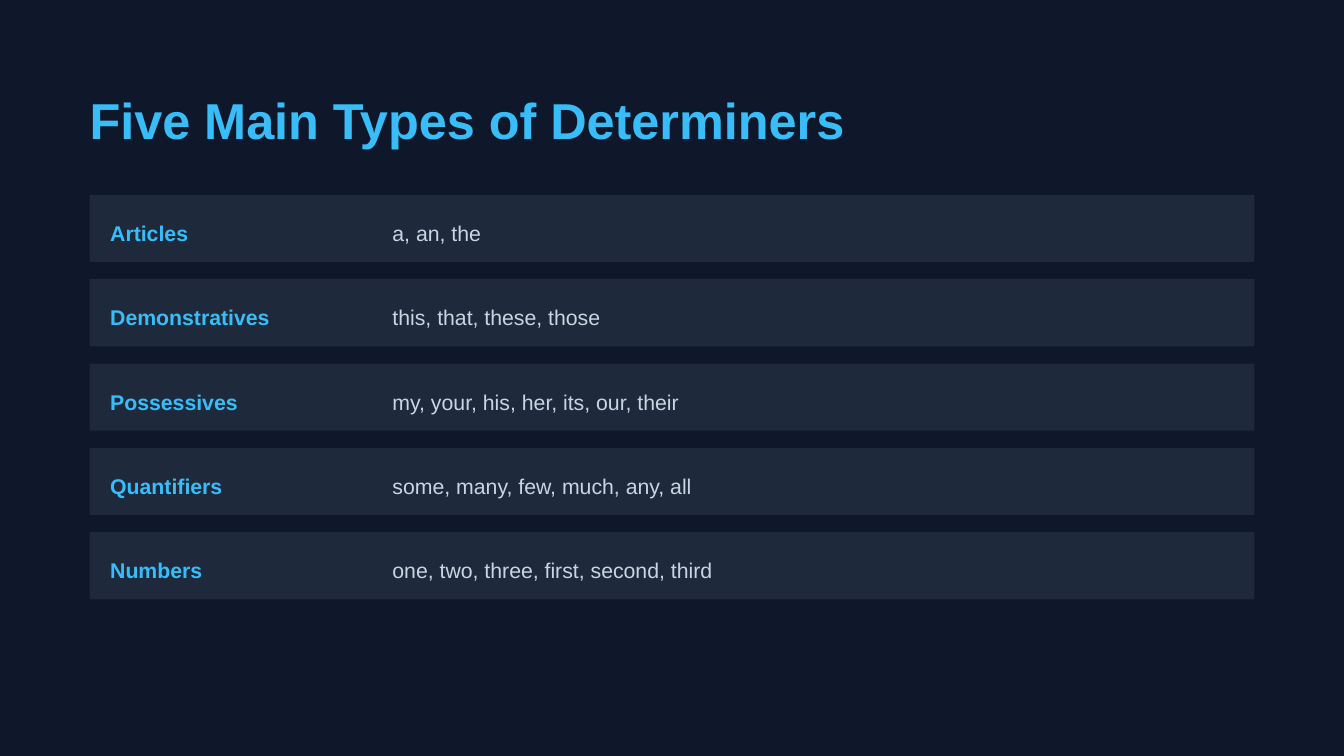
from pptx import Presentation
from pptx.dml.color import RGBColor
from pptx.enum.shapes import MSO_SHAPE
from pptx.enum.text import MSO_ANCHOR
from pptx.util import Inches, Pt

RECTANGLE = MSO_SHAPE.RECTANGLE
TOP = MSO_ANCHOR.TOP

FONT = "Arial"
COLORS = {
    "background": "0F172A",
    "row": "1E293B",
    "accent": "38BDF8",
    "body": "CBD5E1",
}

DETERMINERS = [
    ("Articles", "a, an, the"),
    ("Demonstratives", "this, that, these, those"),
    ("Possessives", "my, your, his, her, its, our, their"),
    ("Quantifiers", "some, many, few, much, any, all"),
    ("Numbers", "one, two, three, first, second, third"),
]

# Layout in inches, on a 16:9 slide
SLIDE_WIDTH = 10
SLIDE_HEIGHT = SLIDE_WIDTH * 9 / 16
MARGIN = SLIDE_WIDTH / 15
ROW_WIDTH = SLIDE_WIDTH - 2 * MARGIN
ROW_HEIGHT = 0.5
FIRST_ROW, LAST_ROW = 1.45, 3.96
ROW_PITCH = (LAST_ROW - FIRST_ROW) / (len(DETERMINERS) - 1)
TEXT_HEIGHT = 0.25
TEXT_OFFSET = (ROW_HEIGHT - TEXT_HEIGHT) / 2


def color(name):
    return RGBColor.from_string(COLORS[name])


def add_text(slide, text, left, top, width, height, *,
             size=11.4, spacing=18.2, fill="body", bold=False):
    box = slide.shapes.add_textbox(
        Inches(left), Inches(top), Inches(width), Inches(height))
    frame = box.text_frame
    frame.word_wrap = True
    frame.vertical_anchor = TOP
    frame.margin_left = frame.margin_right = 0
    frame.margin_top = frame.margin_bottom = 0
    paragraph = frame.paragraphs[0]
    paragraph.line_spacing = Pt(spacing)
    run = paragraph.add_run()
    run.text = text
    run.font.name = FONT
    run.font.size = Pt(size)
    run.font.bold = bold
    run.font.color.rgb = color(fill)


def add_row_background(slide, top):
    shape = slide.shapes.add_shape(
        RECTANGLE, Inches(MARGIN), Inches(top),
        Inches(ROW_WIDTH), Inches(ROW_HEIGHT))
    shape.shadow.inherit = False
    shape.fill.solid()
    shape.fill.fore_color.rgb = color("row")
    shape.line.fill.background()


def add_determiner_text(slide, top, kind, examples):
    add_text(slide, kind, 0.82, top, 2.14, TEXT_HEIGHT,
             fill="accent", bold=True)
    add_text(slide, examples, 2.92, top, 6.41, TEXT_HEIGHT)


def main():
    presentation = Presentation()
    presentation.slide_width = Inches(SLIDE_WIDTH)
    presentation.slide_height = Inches(SLIDE_HEIGHT)
    slide = presentation.slides.add_slide(presentation.slide_layouts[6])
    slide.background.fill.solid()
    slide.background.fill.fore_color.rgb = color("background")

    # Row backgrounds
    row_tops = [FIRST_ROW + index * ROW_PITCH for index in range(len(DETERMINERS))]
    for top in row_tops:
        add_row_background(slide, top)

    # Title
    add_text(slide, "Five Main Types of Determiners",
             MARGIN, MARGIN, 8.84, 0.45,
             size=27, spacing=32.4, fill="accent", bold=True)

    # One type of determiner with its examples in each row
    for top, (kind, examples) in zip(row_tops, DETERMINERS):
        add_determiner_text(slide, top + TEXT_OFFSET, kind, examples)

    presentation.save("out.pptx")


if __name__ == "__main__":
    main()
